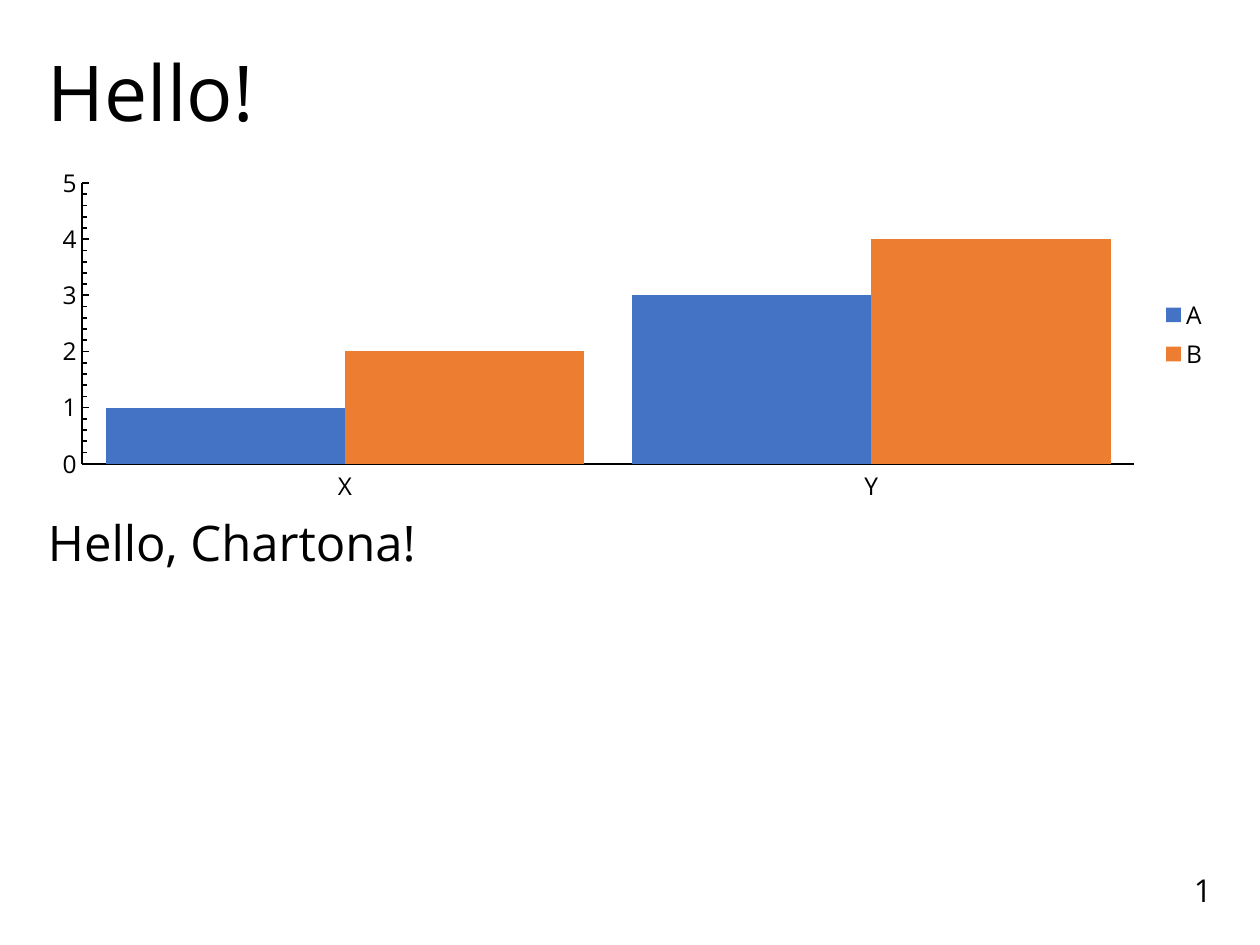
from dataclasses import dataclass

from pptx import Presentation
from pptx.chart.data import CategoryChartData
from pptx.dml.color import RGBColor
from pptx.enum.chart import XL_CHART_TYPE, XL_LEGEND_POSITION, XL_TICK_MARK
from pptx.enum.text import MSO_ANCHOR, PP_ALIGN
from pptx.util import Pt

COLUMNS = XL_CHART_TYPE.COLUMN_CLUSTERED
LEGEND_RIGHT = XL_LEGEND_POSITION.RIGHT
TICK_NONE, TICK_INSIDE = XL_TICK_MARK.NONE, XL_TICK_MARK.INSIDE
TOP, MIDDLE = MSO_ANCHOR.TOP, MSO_ANCHOR.MIDDLE
LEFT, RIGHT = PP_ALIGN.LEFT, PP_ALIGN.RIGHT

EMU_PER_PX = 914400 // 126
SLIDE_W, SLIDE_H = 1260, 945
MARGIN = 39
CONTENT_W = SLIDE_W - 2 * MARGIN
TITLE_H, GAP, ROW_H = 115, 5, 351


@dataclass(frozen=True)
class Theme:
    font: str = "Open Sans"
    ink: RGBColor = RGBColor(0, 0, 0)
    series: tuple = (RGBColor(0x44, 0x72, 0xC4), RGBColor(0xED, 0x7D, 0x31))
    title: int = 44
    body: int = 28
    page_number: int = 18
    chart: int = 14
    padding: int = 9
    line_spacing: float = 0.9


THEME = Theme()


def px(length):
    return length * EMU_PER_PX


def emu_box(box):
    return [px(length) for length in box]


def style_font(font, size):
    font.name = THEME.font
    font.size = Pt(size)
    font.color.rgb = THEME.ink


def add_text(slide, box, text, *, size, align=LEFT, anchor=TOP, wrap=True):
    frame = slide.shapes.add_textbox(*emu_box(box)).text_frame
    frame.word_wrap = wrap
    frame.vertical_anchor = anchor
    frame.margin_left = frame.margin_right = px(THEME.padding)
    frame.margin_top = frame.margin_bottom = px(THEME.padding)
    paragraph = frame.paragraphs[0]
    paragraph.alignment = align
    paragraph.line_spacing = THEME.line_spacing
    run = paragraph.add_run()
    run.text = text
    style_font(run.font, size)


def style_axis(axis, tick):
    axis.has_major_gridlines = False
    axis.major_tick_mark = axis.minor_tick_mark = tick
    axis.format.line.color.rgb = THEME.ink
    axis.format.line.width = Pt(1)
    style_font(axis.tick_labels.font, THEME.chart)


def add_column_chart(slide, box, categories, series_values):
    data = CategoryChartData()
    data.categories = categories
    for name, values in series_values.items():
        data.add_series(name, values)
    chart = slide.shapes.add_chart(COLUMNS, *emu_box(box), data).chart
    chart.has_title = False
    style_font(chart.font, THEME.chart)

    style_axis(chart.category_axis, TICK_NONE)
    style_axis(chart.value_axis, TICK_INSIDE)
    chart.value_axis.minimum_scale = 0
    chart.value_axis.major_unit = 1
    chart.value_axis.minor_unit = 0.2

    chart.has_legend = True
    chart.legend.position = LEGEND_RIGHT
    chart.legend.include_in_layout = False
    style_font(chart.legend.font, THEME.chart)

    plot = chart.plots[0]
    plot.gap_width = 20
    plot.overlap = 0
    plot.vary_by_categories = False
    for series, color in zip(plot.series, THEME.series):
        series.format.fill.solid()
        series.format.fill.fore_color.rgb = color


def add_page_number(slide, number):
    """Put the number in the square left of and above the corner margins."""
    box = (SLIDE_W - 2 * MARGIN, SLIDE_H - 2 * MARGIN - 1, MARGIN, MARGIN)
    add_text(slide, box, str(number), size=THEME.page_number, align=RIGHT,
             wrap=False)


def main():
    presentation = Presentation()
    presentation.slide_width, presentation.slide_height = px(SLIDE_W), px(SLIDE_H)
    slide = presentation.slides.add_slide(presentation.slide_layouts[6])

    chart_top = MARGIN + TITLE_H + GAP
    add_text(slide, (MARGIN, MARGIN, CONTENT_W, TITLE_H), "Hello!",
             size=THEME.title, anchor=MIDDLE)
    add_page_number(slide, 1)
    add_column_chart(slide, (MARGIN, chart_top, CONTENT_W, ROW_H),
                     ["X", "Y"], {"A": (1, 3), "B": (2, 4)})
    add_text(slide, (MARGIN, chart_top + ROW_H, CONTENT_W, ROW_H),
             "Hello, Chartona!", size=THEME.body)
    presentation.save("out.pptx")


if __name__ == "__main__":
    main()
